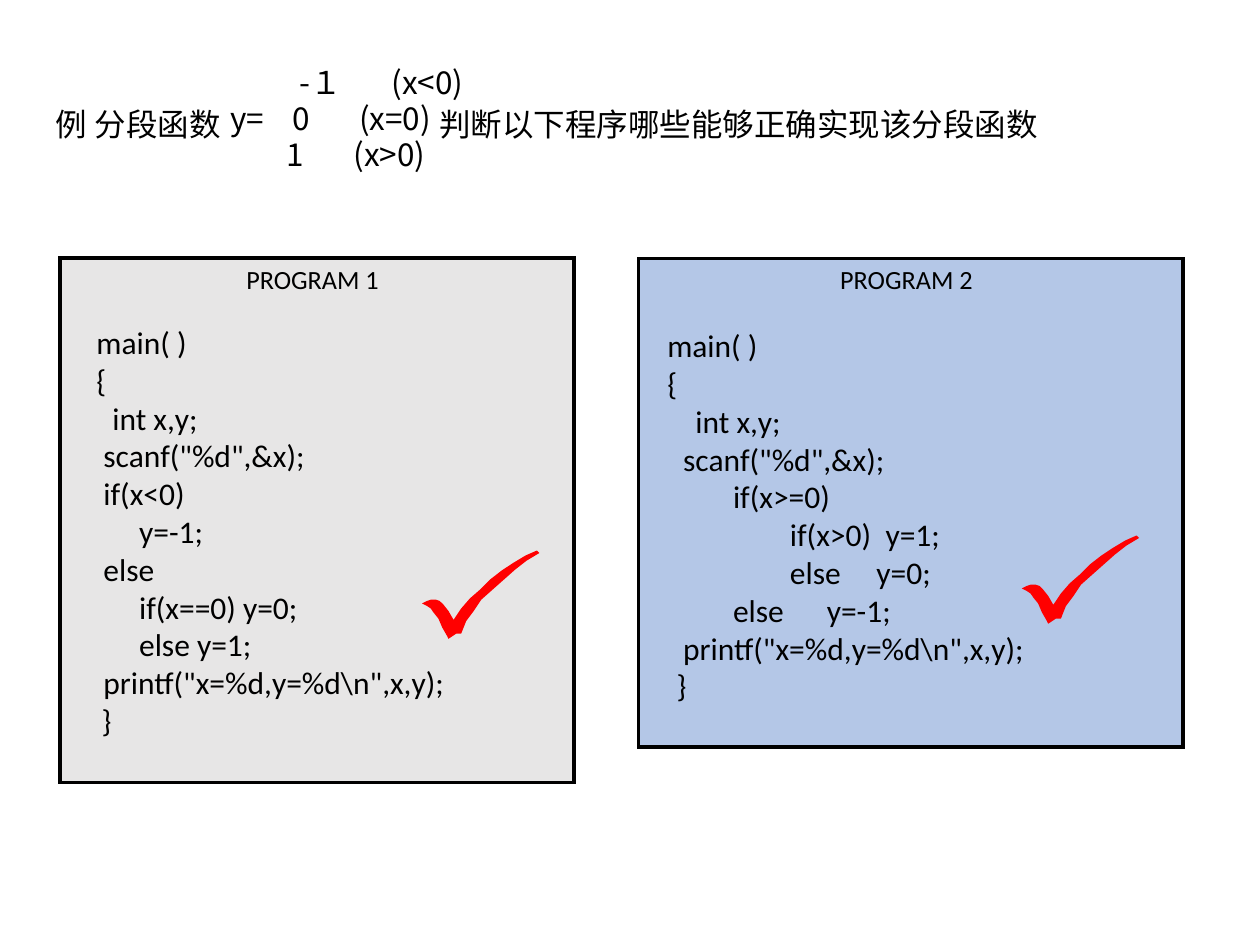
from dataclasses import dataclass

from lxml import etree
from pptx import Presentation
from pptx.dml.color import RGBColor
from pptx.enum.shapes import MSO_SHAPE
from pptx.enum.text import MSO_ANCHOR, PP_ALIGN
from pptx.oxml.ns import qn
from pptx.util import Pt

RECTANGLE = MSO_SHAPE.RECTANGLE
TOP = MSO_ANCHOR.TOP
LEFT, CENTER = PP_ALIGN.LEFT, PP_ALIGN.CENTER


@dataclass(frozen=True)
class Theme:
    ink: RGBColor = RGBColor(0, 0, 0)
    gray: RGBColor = RGBColor(0xE7, 0xE6, 0xE6)
    blue: RGBColor = RGBColor(0xB4, 0xC7, 0xE7)
    tick: RGBColor = RGBColor(0xFF, 0, 0)
    chinese: str = "Noto Sans CJK SC"
    code: str = "Calibri"
    body_size: float = 18
    heading_size: float = 15
    border: float = 2


@dataclass(frozen=True)
class Box:
    left: float
    top: float
    width: float
    height: float

    def lengths(self):
        return Pt(self.left), Pt(self.top), Pt(self.width), Pt(self.height)


THEME = Theme()

# Each line: start, then texts with the extra width of the space between them
QUESTION = [(0, "例 分段函数", 121, "判断以下程序哪些能够正确实现该分段函数")]
CASES = [
    (51.7, "-１", 24.2, "(x<0)"),
    (12, "y=", 12.1, "0", 24.2, "(x=0)"),
    (44.3, "1", 24.2, "(x>0)"),
]
PROGRAM_1 = [
    (20.9, "main( )"),
    (20.9, "{"),
    (30, "int x,y;"),
    (24.9, 'scanf("%d",&x);'),
    (24.9, "if(x<0)"),
    (45.3, "y=-1;"),
    (24.9, "else"),
    (45.3, "if(x==0) y=0;"),
    (45.3, "else y=1;"),
    (24.9, r'printf("x=%d,y=%d\n",x,y);'),
    (23.8, "}"),
]
PROGRAM_2 = [
    (16.3, "main( )"),
    (16.3, "{"),
    (32.4, "int x,y;"),
    (25.4, 'scanf("%d",&x);'),
    (53.9, "if(x>=0)"),
    (86.4, "if(x>0)", 4.1, "y=1;"),
    (86.4, "else", 16.3, "y=0;"),
    (53.9, "else", 20.4, "y=-1;"),
    (25.4, r'printf("x=%d,y=%d\n",x,y);'),
    (21.6, "}"),
]
# Tick outline on a grid 93 wide and 70 high
TICK_GRID = 93
TICK = [
    (91, 0), (93, 2), (83, 8), (74, 15), (65, 23), (56, 31), (47, 39), (41, 48),
    (35, 56), (31, 66), (27, 66), (21, 70), (20, 68), (16, 61), (13, 54),
    (9, 49), (7, 46), (4, 44), (0, 42), (4, 40), (7, 39), (11, 39), (14, 40),
    (17, 43), (21, 48), (25, 55), (31, 46), (38, 38), (46, 31), (54, 23),
    (63, 16), (72, 10), (82, 4),
]


def set_indent(para, start):
    properties = para._p.get_or_add_pPr()
    properties.set("marL", "0")
    properties.set("indent", str(Pt(start)))


def set_font(para, name, size):
    font = para.font
    font.size = Pt(size)
    font.color.rgb = THEME.ink
    font.name = name
    etree.SubElement(font._element, qn("a:ea"), typeface=name)


def set_frame(frame, left, top, right, bottom):
    frame.word_wrap = True
    frame.vertical_anchor = TOP
    frame.margin_left, frame.margin_top = Pt(left), Pt(top)
    frame.margin_right, frame.margin_bottom = Pt(right), Pt(bottom)


def add_parts(para, parts):
    """Add texts as runs; a number becomes one space widened by that much."""
    for part in parts:
        span = para.add_run()
        if isinstance(part, str):
            span.text = part
        else:
            span.text = " "
            span.font._element.set("spc", str(round(part * 100)))


def add_lines(frame, lines, font_name, first_is_used=False):
    paras = []
    for start, *parts in lines:
        para = frame.add_paragraph() if paras or first_is_used else frame.paragraphs[0]
        add_parts(para, parts)
        para.alignment = LEFT
        set_indent(para, start)
        set_font(para, font_name, THEME.body_size)
        paras.append(para)
    return paras


def add_question(page, box):
    frame = page.shapes.add_textbox(*box.lengths()).text_frame
    set_frame(frame, 7.2, 3.6, 7.2, 3.6)
    add_lines(frame, QUESTION, THEME.chinese)


def add_cases(page, box):
    frame = page.shapes.add_textbox(*box.lengths()).text_frame
    set_frame(frame, 5, 3, 5, 3)
    paras = add_lines(frame, CASES, THEME.chinese)
    for para in paras:
        para.line_spacing = 0.8
    for para in paras[1:]:
        para.space_before = Pt(3.1)


def add_program(page, box, heading, lines, fill, gap):
    panel = page.shapes.add_shape(RECTANGLE, *box.lengths())
    panel.shadow.inherit = False
    panel.fill.solid()
    panel.fill.fore_color.rgb = fill
    panel.line.color.rgb = THEME.ink
    panel.line.width = Pt(THEME.border)
    etree.SubElement(panel.line._get_or_add_ln(), qn("a:miter"), lim="800000")
    frame = panel.text_frame
    set_frame(frame, 0, 3, 5, 3)
    title = frame.paragraphs[0]
    title.text = heading
    title.alignment = CENTER
    set_font(title, THEME.code, THEME.heading_size)
    code = add_lines(frame, lines, THEME.code, first_is_used=True)
    code[0].space_before = Pt(gap)


def add_tick(page, box):
    builder = page.shapes.build_freeform(*TICK[0], scale=Pt(box.width) / TICK_GRID)
    builder.add_line_segments(TICK[1:], close=True)
    tick = builder.convert_to_shape(Pt(box.left), Pt(box.top))
    tick.shadow.inherit = False
    tick.fill.solid()
    tick.fill.fore_color.rgb = THEME.tick
    tick.line.fill.background()


def main():
    deck = Presentation()
    deck.slide_width, deck.slide_height = Pt(720), Pt(540)
    page = deck.slides.add_slide(deck.slide_layouts[6])
    add_question(page, Box(24.9, 56.7, 651.6, 30.2))
    add_cases(page, Box(114.5, 37.4, 190.8, 85))
    add_program(page, Box(34.2, 147.6, 293.8, 299.5), "PROGRAM 1", PROGRAM_1, THEME.gray, 16)
    add_program(page, Box(365, 147.6, 311, 279.4), "PROGRAM 2", PROGRAM_2, THEME.blue, 17.8)
    add_tick(page, Box(241.2, 314.6, 67, 50.4))
    add_tick(page, Box(583.9, 306, 67, 50.4))
    deck.save("out.pptx")


if __name__ == "__main__":
    main()
